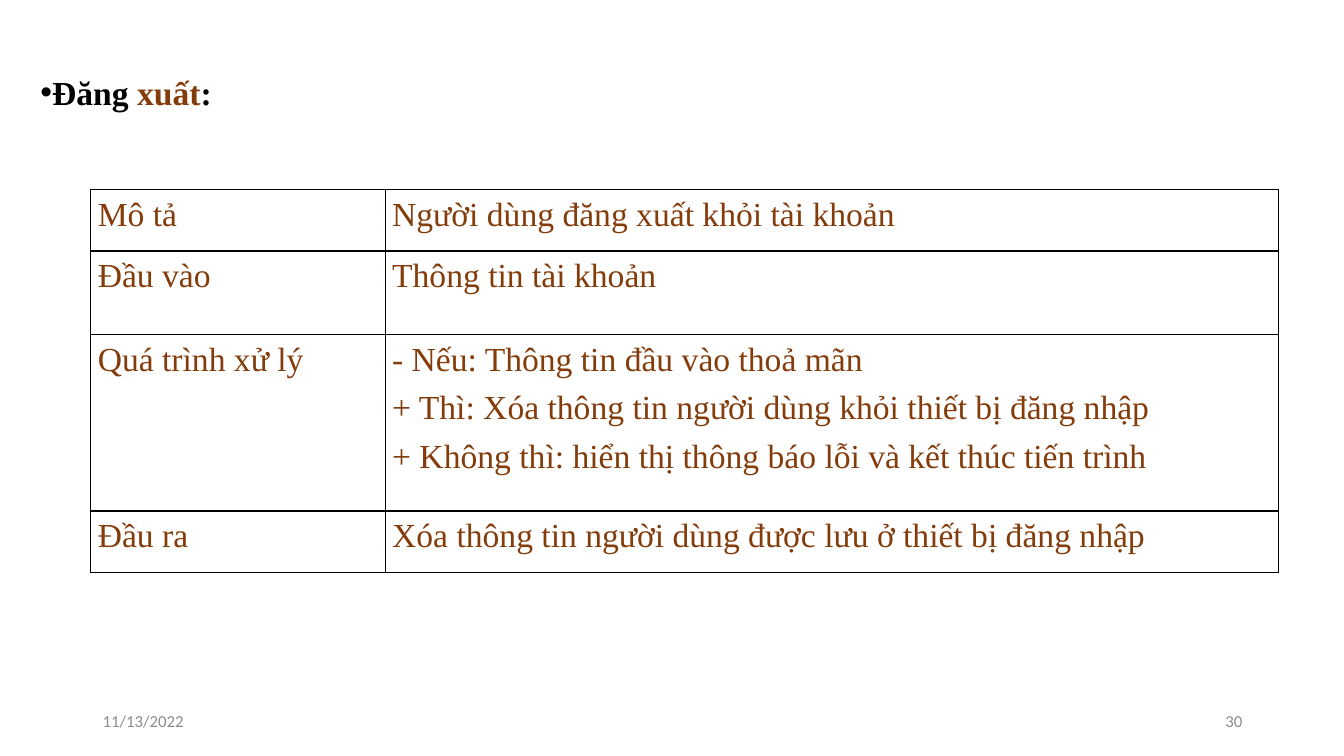
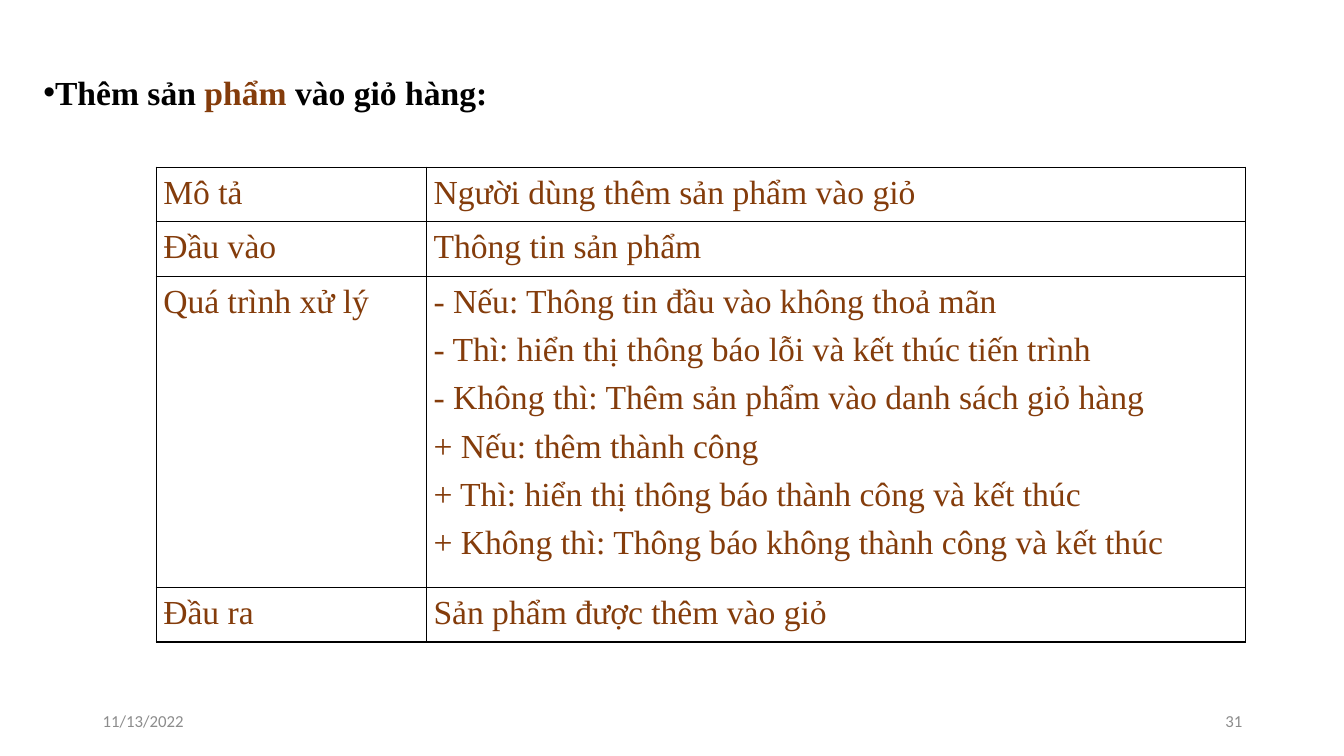
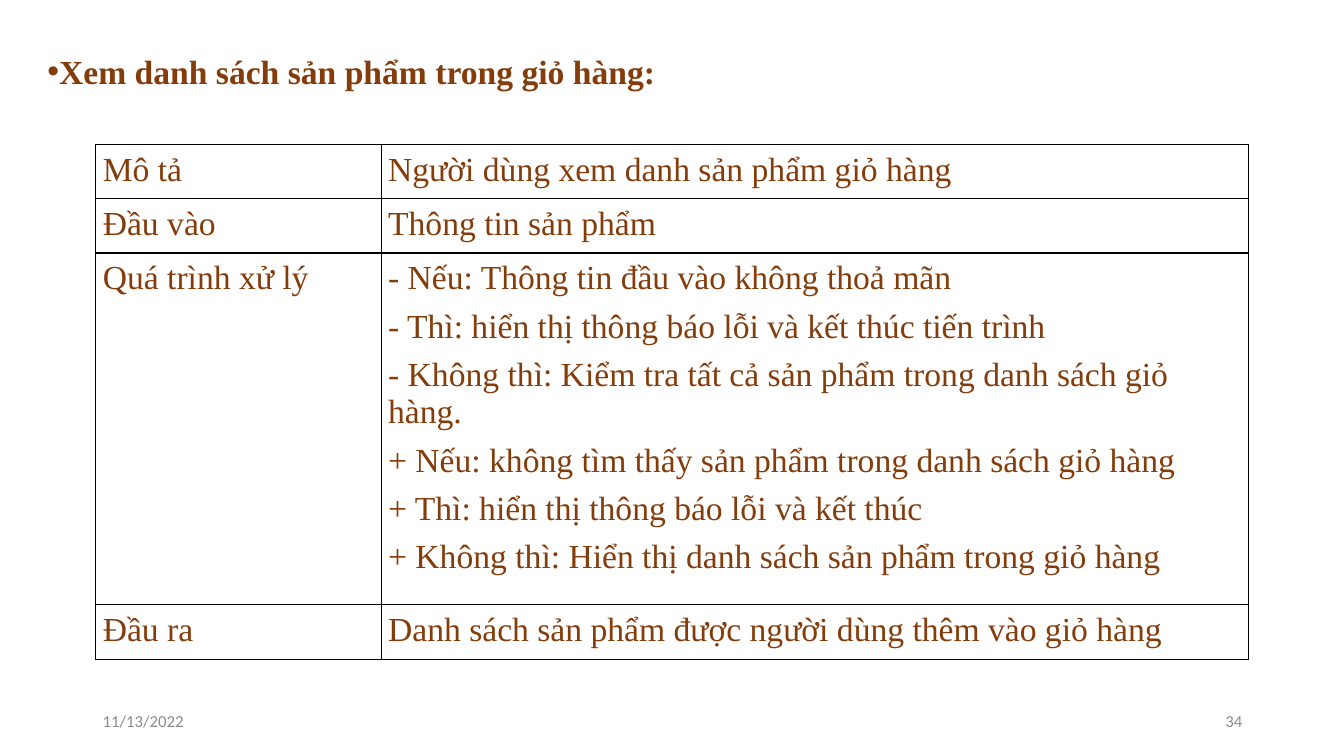
import dataclasses

import lxml.etree
import pptx
import pptx.dml.color
import pptx.enum.text
import pptx.oxml.ns
import pptx.util

Inches = pptx.util.Inches
Pt = pptx.util.Pt
RGB = pptx.dml.color.RGBColor.from_string
ALIGN = pptx.enum.text.PP_ALIGN
ANCHOR = pptx.enum.text.MSO_ANCHOR
AUTO_SIZE = pptx.enum.text.MSO_AUTO_SIZE


@dataclasses.dataclass(frozen=True)
class Theme:
    black: str = "000000"
    brown: str = "843C0B"
    grey: str = "8C8C8C"
    serif: str = "Times New Roman"
    sans: str = "Calibri"
    text_size: int = 24
    footer_size: int = 12
    border_width: int = 1
    space_after: int = 8
    cell_margin: float = 0.07


THEME = Theme()
BLACK, BROWN = THEME.black, THEME.brown
ROW_LABELS = ["Mô tả", "Đầu vào", "Quá trình xử lý", "Đầu ra"]
DATE = "11/13/2022"


def apply(target, values):
    for name, value in values.items():
        setattr(target, name, value)


def add_element(parent, tag, **attributes):
    return lxml.etree.SubElement(parent, pptx.oxml.ns.qn(tag), **attributes)


class Builder:
    """Holds the theme, the deck and the slide being built."""

    def __init__(self, theme):
        self.theme = theme
        self.deck = pptx.Presentation()
        apply(self.deck, {"slide_width": Inches(13.33), "slide_height": Inches(7.5)})
        self.page = None

    def new_page(self):
        self.page = self.deck.slides.add_slide(self.deck.slide_layouts[5])

    def add_span(self, para, text, color, **values):
        span = para.add_run()
        span.text = text
        defaults = {"name": self.theme.serif, "size": Pt(self.theme.text_size)}
        apply(span.font, defaults | values)
        span.font.color.rgb = RGB(color)

    def title(self, spans, left, top, width):
        box = self.page.shapes.title
        apply(box, {"left": Inches(left), "top": Inches(top),
                    "width": Inches(width), "height": Inches(1.62)})
        apply(box.text_frame, {
            "auto_size": AUTO_SIZE.NONE, "word_wrap": False,
            "vertical_anchor": ANCHOR.TOP,
            "margin_left": Inches(0.1), "margin_right": Inches(0.1),
            "margin_top": Inches(0.44), "margin_bottom": 0})
        para = box.text_frame.paragraphs[0]
        para.alignment = ALIGN.LEFT
        properties = para._p.get_or_add_pPr()
        apply_bullet = {"marL": "0", "indent": "0"}
        for name, value in apply_bullet.items():
            properties.set(name, value)
        add_element(properties, "a:buFont", typeface="Arial")
        add_element(properties, "a:buChar", char="•")
        for text, color in spans:
            self.add_span(para, text, color, bold=True)

    def cell(self, cell, lines):
        margin = Inches(self.theme.cell_margin)
        apply(cell, {f"margin_{side}": margin
                     for side in ("left", "right", "top", "bottom")})
        # Borders come before the fill in the cell properties
        properties = cell._tc.get_or_add_tcPr()
        for tag in ("a:lnL", "a:lnR", "a:lnT", "a:lnB"):
            line = add_element(properties, tag, w=str(Pt(self.theme.border_width)))
            fill = add_element(line, "a:solidFill")
            add_element(fill, "a:srgbClr", val=self.theme.black)
        cell.fill.background()
        frame = cell.text_frame
        for index, text in enumerate(lines):
            para = frame.add_paragraph() if index else frame.paragraphs[0]
            para.space_after = Pt(self.theme.space_after)
            self.add_span(para, text, self.theme.brown)

    def table(self, left, top, widths, heights, contents):
        table = self.page.shapes.add_table(
            len(heights), len(widths), Inches(left), Inches(top),
            Inches(sum(widths)), Inches(sum(heights))).table
        apply(table, {"first_row": False, "horz_banding": False})
        for column, width in zip(table.columns, widths):
            column.width = Inches(width)
        for index, (label, lines) in enumerate(zip(ROW_LABELS, contents)):
            table.rows[index].height = Inches(heights[index])
            self.cell(table.cell(index, 0), [label])
            self.cell(table.cell(index, 1), lines)

    def footer(self, number):
        for text, left, alignment in ((DATE, 0.92, ALIGN.LEFT),
                                      (number, 9.42, ALIGN.RIGHT)):
            box = self.page.shapes.add_textbox(
                Inches(left), Inches(6.95), Inches(3), Inches(0.4))
            apply(box.text_frame, {"word_wrap": True, "vertical_anchor": ANCHOR.MIDDLE})
            para = box.text_frame.paragraphs[0]
            para.alignment = alignment
            self.add_span(para, text, self.theme.grey, name=self.theme.sans,
                          size=Pt(self.theme.footer_size))


# Content of each slide
PAGES = [
    {
        "title": ([("Đăng ", BLACK), ("xuất", BROWN), (":", BLACK)], 0.3, 0.27, 1.92),
        "table": (0.9, 1.88, [2.92, 8.86], [0.61, 0.83, 1.75, 0.61], [
            ["Người dùng đăng xuất khỏi tài khoản"],
            ["Thông tin tài khoản"],
            ["- Nếu: Thông tin đầu vào thoả mãn",
             "+ Thì: Xóa thông tin người dùng khỏi thiết bị đăng nhập",
             "+ Không thì: hiển thị thông báo lỗi và kết thúc tiến trình"],
            ["Xóa thông tin người dùng được lưu ở thiết bị đăng nhập"],
        ]),
        "number": "30",
    },
    {
        "title": ([("Thêm sản ", BLACK), ("phẩm ", BROWN), ("vào giỏ hàng:", BLACK)],
                  0.33, 0.27, 4.65),
        "table": (1.55, 1.66, [2.68, 8.12], [0.54, 0.54, 3.09, 0.54], [
            ["Người dùng thêm sản phẩm vào giỏ"],
            ["Thông tin sản phẩm"],
            ["- Nếu: Thông tin đầu vào không thoả mãn",
             "- Thì: hiển thị thông báo lỗi và kết thúc tiến trình",
             "- Không thì: Thêm sản phẩm vào danh sách giỏ hàng",
             "+ Nếu: thêm thành công",
             "+ Thì: hiển thị thông báo thành công và kết thúc",
             "+ Không thì: Thông báo không thành công và kết thúc"],
            ["Sản phẩm được thêm vào giỏ"],
        ]),
        "number": "31",
    },
    {
        "title": ([("Xem danh sách sản phẩm trong giỏ hàng:", BROWN)], 0.37, 0.06, 6.29),
        "table": (0.95, 1.43, [2.83, 8.6], [0.54, 0.54, 3.49, 0.54], [
            ["Người dùng xem danh sản phẩm giỏ hàng"],
            ["Thông tin sản phẩm"],
            ["- Nếu: Thông tin đầu vào không thoả mãn",
             "- Thì: hiển thị thông báo lỗi và kết thúc tiến trình",
             "- Không thì: Kiểm tra tất cả sản phẩm trong danh sách giỏ hàng.",
             "+ Nếu: không tìm thấy sản phẩm trong danh sách giỏ hàng",
             "+ Thì: hiển thị thông báo lỗi và kết thúc",
             "+ Không thì: Hiển thị danh sách sản phẩm trong giỏ hàng"],
            ["Danh sách sản phẩm được người dùng thêm vào giỏ hàng"],
        ]),
        "number": "34",
    },
]


def main():
    builder = Builder(THEME)
    for content in PAGES:
        builder.new_page()
        builder.title(*content["title"])
        builder.table(*content["table"])
        builder.footer(content["number"])
    builder.deck.save("out.pptx")


if __name__ == "__main__":
    main()
